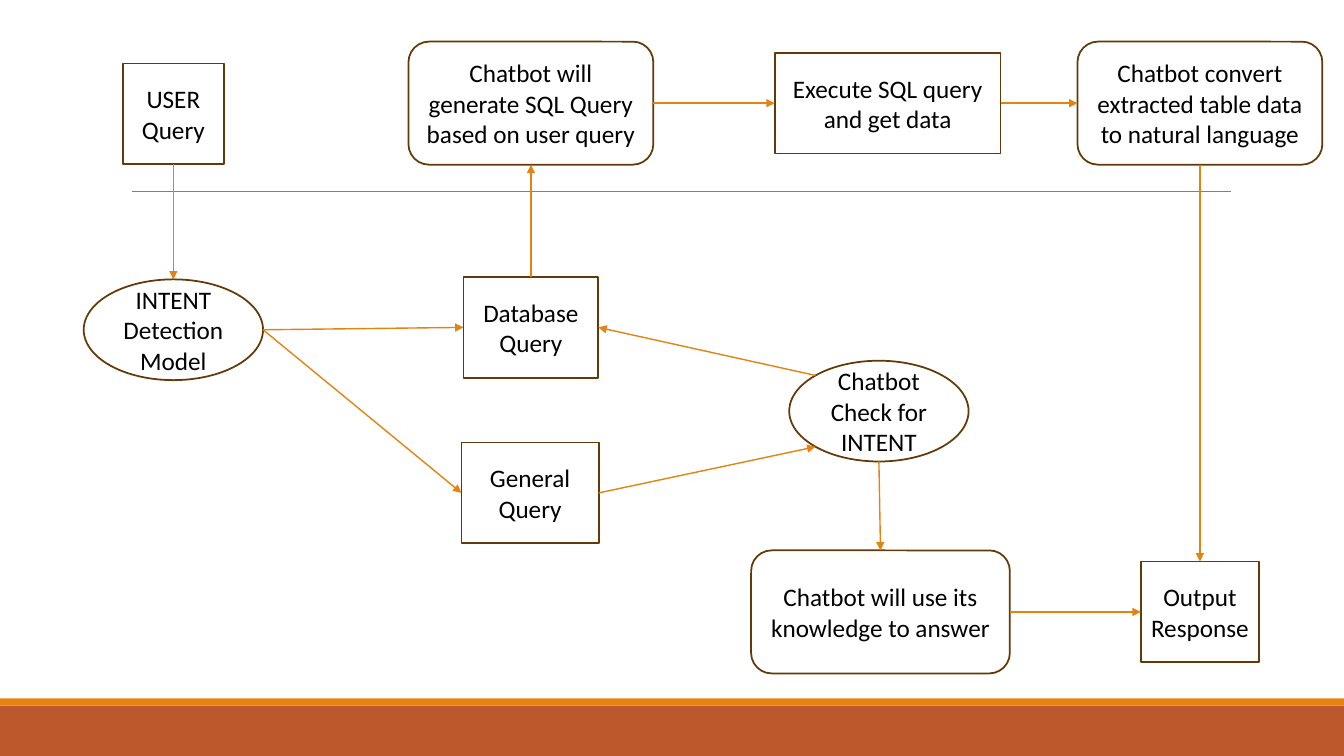
from collections import namedtuple
from dataclasses import dataclass

from lxml.etree import SubElement
from pptx import Presentation
from pptx.dml.color import RGBColor
from pptx.enum.shapes import MSO_CONNECTOR as Link, MSO_SHAPE as Shape
from pptx.enum.text import MSO_ANCHOR as Anchor, PP_ALIGN as Align
from pptx.oxml.ns import qn
from pptx.util import Cm, Pt

Box = namedtuple("Box", "left top width height")
Node = namedtuple("Node", "shape box sites")


@dataclass(frozen=True)
class Theme:
    font: str = "Calibri"
    text_size: float = 18
    text: str = "000000"
    outline: str = "643908"
    arrow: str = "E48312"
    band: str = "BD582C"
    divider: str = "808080"
    outline_width: float = 1.25
    arrow_width: float = 1
    divider_width: float = 0.5


THEME = Theme()
PAGE = Box(0, 0, 33.87, 19.05)

INTENT_X, QUERY_X, CHECK_X, OUTPUT_X = 4.37, 13.38, 22.17, 30.24
TOP_Y, MIDDLE_Y, BOTTOM_Y = 2.6, 8.28, 15.42
PLAIN_HEIGHT, ROUNDED_HEIGHT, OVAL_WIDTH = 2.54, 3.1, 4.52

RECT_SITES = {"top": (0, 0.5, 0), "left": (1, 0, 0.5),
              "bottom": (2, 0.5, 1), "right": (3, 1, 0.5)}
OVAL_SITES = {"top": (0, 0.5, 0), "upper left": (1, 0.146, 0.146),
              "lower left": (3, 0.146, 0.854), "bottom": (4, 0.5, 1),
              "right": (6, 1, 0.5)}

STEPS = {
    "user": (Shape.RECTANGLE, INTENT_X, 2.87, 2.54, "USER Query"),
    "intent": (Shape.OVAL, INTENT_X, 8.31, OVAL_WIDTH, "INTENT Detection Model"),
    "general": (Shape.RECTANGLE, 13.36, 12.42, 3.46, "General Query"),
    "database": (Shape.RECTANGLE, QUERY_X, 8.25, 3.4, "Database Query"),
    "generate": (Shape.ROUNDED_RECTANGLE, QUERY_X, TOP_Y, 6.17,
                 "Chatbot will generate SQL Query based on user query"),
    "execute": (Shape.RECTANGLE, 22.37, TOP_Y, 5.69,
                "Execute SQL query and get data"),
    "output": (Shape.RECTANGLE, OUTPUT_X, BOTTOM_Y, 2.98, "Output Response"),
    "convert": (Shape.ROUNDED_RECTANGLE, OUTPUT_X, TOP_Y, 6.17,
                "Chatbot convert extracted table data to natural language"),
    "knowledge": (Shape.ROUNDED_RECTANGLE, 22.19, BOTTOM_Y, 6.52,
                  "Chatbot will use its knowledge to answer"),
    "check": (Shape.OVAL, 22.15, 10.36, OVAL_WIDTH, "Chatbot Check for INTENT"),
}

FLOWS = [
    ("user", "bottom", "intent", "top"),
    ("intent", "right", "database", "left"),
    ("intent", "right", "general", "left"),
    ("database", "top", "generate", "bottom"),
    ("generate", "right", "execute", "left"),
    ("execute", "right", "convert", "left"),
    ("convert", "bottom", "output", "top"),
    ("knowledge", "right", "output", "left"),
    ("general", "right", "check", "lower left"),
    ("check", "upper left", "database", "right"),
    ("check", "bottom", "knowledge", "top"),
]


def colour(value):
    return RGBColor.from_string(value)


def apply(target, formats):
    for name, value in formats.items():
        setattr(target, name, value)


def add_shape(page, kind, box):
    shape = page.shapes.add_shape(kind, *(Cm(length) for length in box))
    shape.shadow.inherit = False
    return shape


def add_line(page, start, end, line_colour, width):
    line = page.shapes.add_connector(
        Link.STRAIGHT, *(Cm(length) for length in (*start, *end)))
    line.line.color.rgb = colour(line_colour)
    line.line.width = Pt(width)
    SubElement(line._element.spPr, qn("a:effectLst"))
    return line


def add_footer(page, box):
    accent_height = 0.18
    strips = [
        (THEME.band, Box(box.left, box.top + accent_height, box.width,
                         box.height - accent_height)),
        (THEME.arrow, Box(box.left, box.top, box.width, accent_height)),
    ]
    for fill, strip_box in strips:
        strip = add_shape(page, Shape.RECTANGLE, strip_box)
        strip.fill.solid()
        strip.fill.fore_color.rgb = colour(fill)
        strip.line.fill.background()


def add_divider(page, box):
    add_line(page, (box.left, box.top), (box.left + box.width, box.top),
             THEME.divider, THEME.divider_width)


def add_step(page, kind, box, text):
    shape = add_shape(page, kind, box)
    shape.fill.background()
    shape.line.color.rgb = colour(THEME.outline)
    shape.line.width = Pt(THEME.outline_width)
    frame = shape.text_frame
    apply(frame, {"word_wrap": True, "vertical_anchor": Anchor.MIDDLE})
    para = frame.paragraphs[0]
    para.alignment = Align.CENTER
    span = para.add_run()
    span.text = text
    apply(span.font, {"name": THEME.font, "size": Pt(THEME.text_size)})
    span.font.color.rgb = colour(THEME.text)
    return Node(shape, box, OVAL_SITES if kind == Shape.OVAL else RECT_SITES)


def site_point(node, side):
    _, across, down = node.sites[side]
    return (node.box.left + across * node.box.width,
            node.box.top + down * node.box.height)


def add_flow(page, source, source_side, target, target_side):
    arrow = add_line(page, site_point(source, source_side),
                     site_point(target, target_side),
                     THEME.arrow, THEME.arrow_width)
    SubElement(arrow.line._get_or_add_ln(), qn("a:tailEnd"), type="triangle")
    links = arrow._element.xpath(".//p:cNvCxnSpPr")[0]
    for tag, node, side in (("a:stCxn", source, source_side),
                            ("a:endCxn", target, target_side)):
        SubElement(links, qn(tag), id=str(node.shape.shape_id),
                   idx=str(node.sites[side][0]))


def add_flowchart(page, box):
    nodes = {}
    for name, (kind, centre_x, centre_y, width, text) in STEPS.items():
        height = ROUNDED_HEIGHT if kind == Shape.ROUNDED_RECTANGLE else PLAIN_HEIGHT
        step_box = Box(box.left + centre_x - width / 2,
                       box.top + centre_y - height / 2, width, height)
        nodes[name] = add_step(page, kind, step_box, text)
    for source, source_side, target, target_side in FLOWS:
        add_flow(page, nodes[source], source_side, nodes[target], target_side)


def main():
    deck = Presentation()
    apply(deck, {"slide_width": Cm(PAGE.width), "slide_height": Cm(PAGE.height)})
    page = deck.slides.add_slide(deck.slide_layouts.get_by_name("Blank"))
    add_footer(page, Box(0, 17.6, PAGE.width, PAGE.height - 17.6))
    add_divider(page, Box(3.33, 4.83, 27.68, 0))
    add_flowchart(page, PAGE)
    deck.save("out.pptx")


if __name__ == "__main__":
    main()
